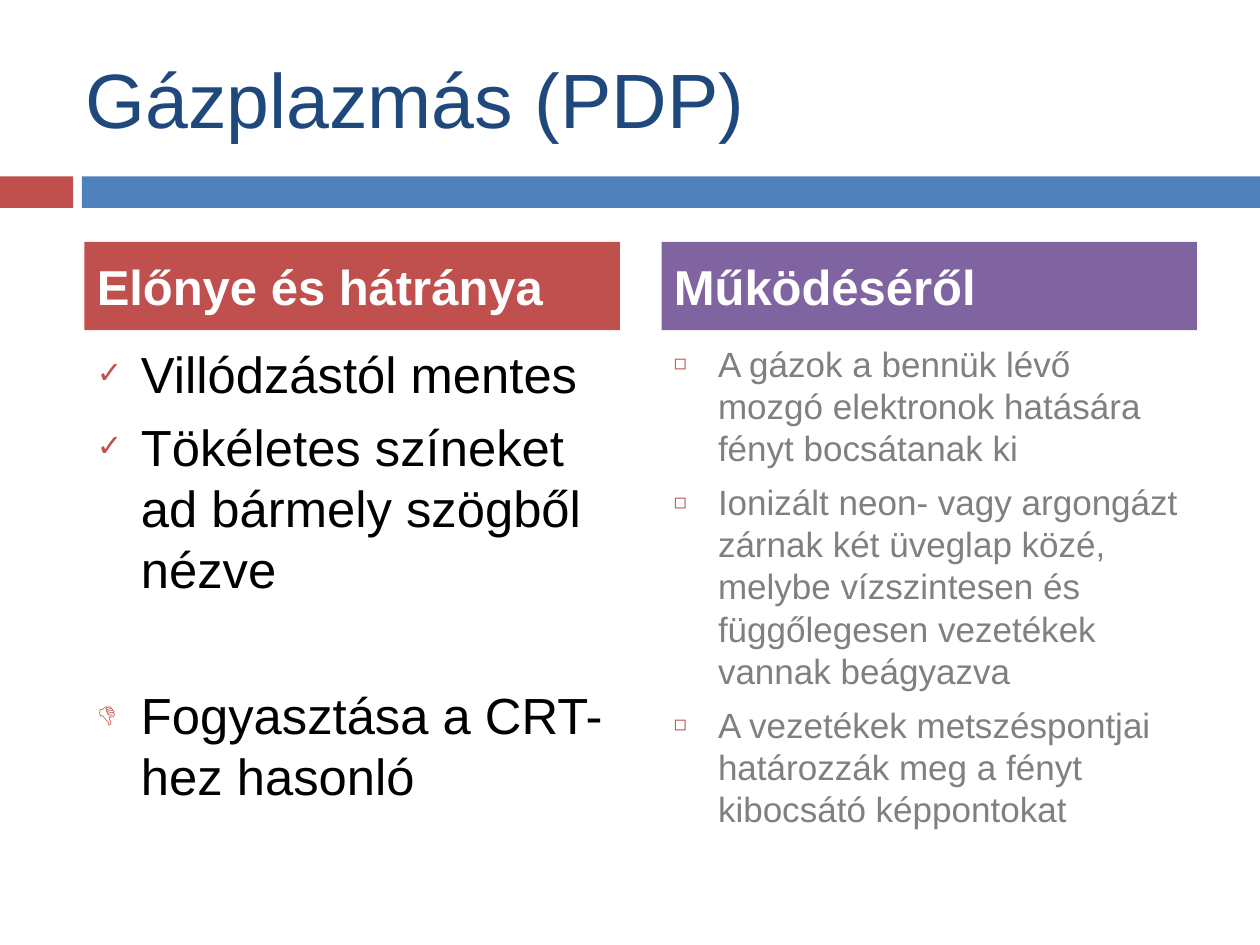
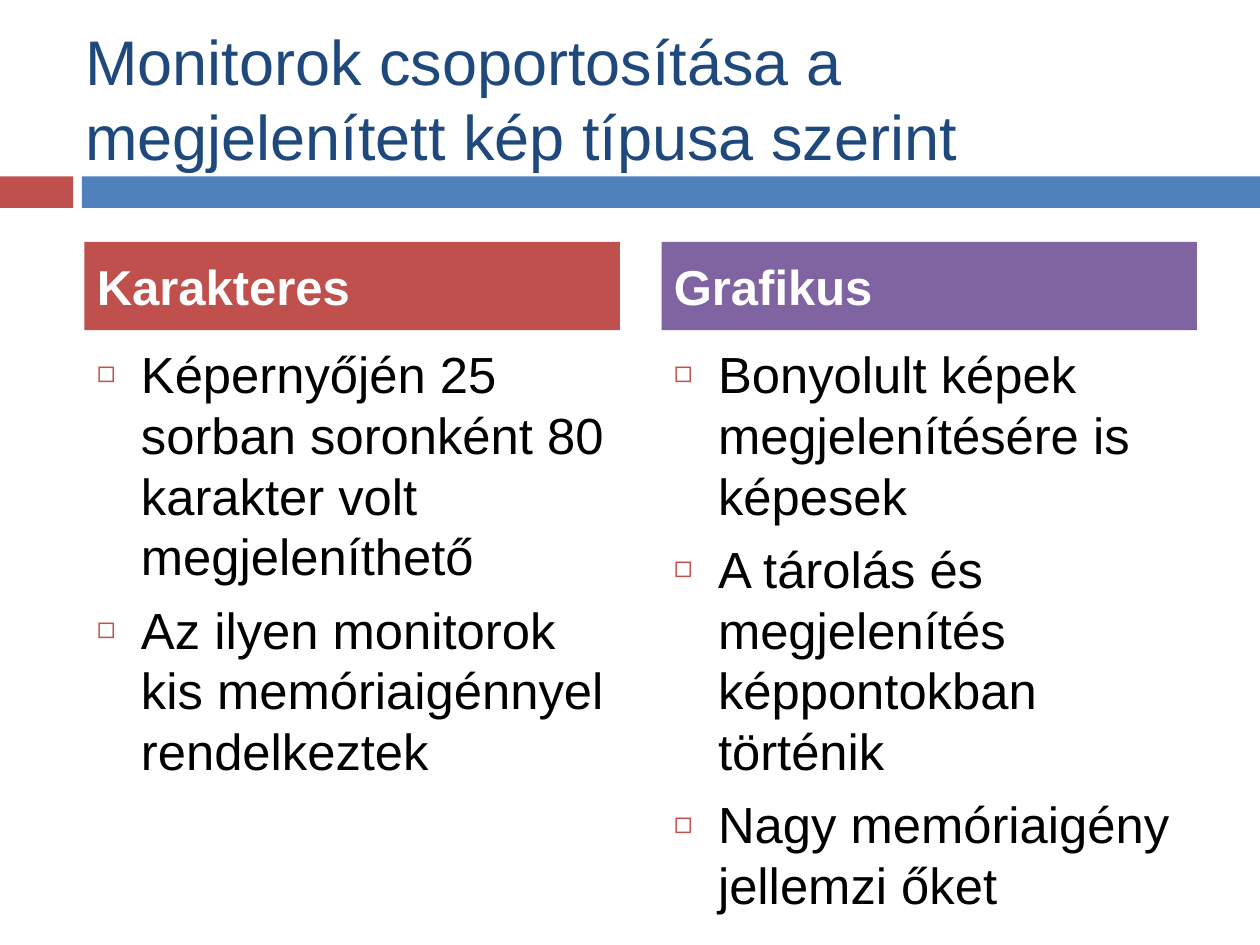
from dataclasses import dataclass

from lxml import etree
from pptx import Presentation
from pptx.dml.color import RGBColor
from pptx.enum.shapes import MSO_SHAPE
from pptx.enum.text import MSO_ANCHOR, PP_ALIGN
from pptx.oxml.ns import qn
from pptx.util import Inches, Pt

RECTANGLE = MSO_SHAPE.RECTANGLE
MIDDLE = MSO_ANCHOR.MIDDLE
LEFT = PP_ALIGN.LEFT
BLANK_LAYOUT = 6


@dataclass(frozen=True)
class Theme:
    font: str = "Arial"
    red: str = "C0504D"
    blue: str = "4F81BD"
    purple: str = "8064A2"
    navy: str = "1F497D"
    black: str = "000000"
    grey: str = "808080"
    white: str = "FFFFFF"
    title_size: int = 44
    long_title_size: int = 36
    heading_size: int = 28
    body_size: int = 29
    small_body_size: int = 20
    paragraph_gap: int = 7
    section_gap: int = 49
    line_ratio: float = 1.2
    bullet_percent: int = 60
    bullet_indent: float = 0.35


@dataclass(frozen=True)
class Box:
    left: float
    top: float
    width: float
    height: float

    def lengths(self):
        return [Inches(value) for value in (self.left, self.top, self.width, self.height)]


@dataclass(frozen=True)
class Item:
    text: str
    bullet: str = "◻"
    starts_section: bool = False


@dataclass(frozen=True)
class Column:
    heading: str
    items: tuple
    size: int
    color: str
    extra_width: float = 0


THEME = Theme()
TITLE_BOX = Box(0.58, 0.3, 8.92, 0.95)
BAND_BOX = Box(0, 1.4, 10, 0.25)
COLUMNS_BOX = Box(0.67, 1.92, 8.83, 4.67)
COLUMN_GAP = 0.33
HEADING_HEIGHT = 0.7
HEADING_GAP = 0.05

SLIDES = (
    ("Gázplazmás (PDP)", THEME.title_size, (
        Column("Előnye és hátránya", (
            Item("Villódzástól mentes", "✓"),
            Item("Tökéletes színeket ad bármely szögből nézve", "✓"),
            Item("Fogyasztása a CRT-hez hasonló", "👎", starts_section=True),
        ), THEME.body_size, THEME.black),
        Column("Működéséről", (
            Item("A gázok a bennük lévő mozgó elektronok hatására fényt bocsátanak ki"),
            Item("Ionizált neon- vagy argongázt zárnak két üveglap közé, melybe "
                 "vízszintesen és függőlegesen vezetékek vannak beágyazva"),
            Item("A vezetékek metszéspontjai határozzák meg a fényt kibocsátó képpontokat"),
        ), THEME.small_body_size, THEME.grey),
    )),
    ("Monitorok csoportosítása a megjelenített kép típusa szerint", THEME.long_title_size, (
        Column("Karakteres", (
            Item("Képernyőjén 25 sorban soronként 80 karakter volt megjeleníthető"),
            Item("Az ilyen monitorok kis memóriaigénnyel rendelkeztek"),
        ), THEME.body_size, THEME.black),
        Column("Grafikus", (
            Item("Bonyolult képek megjelenítésére is képesek"),
            Item("A tárolás és megjelenítés képpontokban történik"),
            Item("Nagy memóriaigény jellemzi őket"),
        ), THEME.body_size, THEME.black, extra_width=0.2),
    )),
)


def add_rectangle(slide, box, color):
    shape = slide.shapes.add_shape(RECTANGLE, *box.lengths())
    shape.shadow.inherit = False
    shape.fill.solid()
    shape.fill.fore_color.rgb = RGBColor.from_string(color)
    shape.line.fill.background()
    return shape


def add_text_frame(slide, box):
    frame = slide.shapes.add_textbox(*box.lengths()).text_frame
    frame.word_wrap = True
    return frame


def write_text(paragraph, text, size, color, bold=False):
    paragraph.line_spacing = Pt(size * THEME.line_ratio)
    run = paragraph.add_run()
    run.text = text
    run.font.name = THEME.font
    run.font.size = Pt(size)
    run.font.bold = bold
    run.font.color.rgb = RGBColor.from_string(color)


def set_bullet(paragraph, character):
    properties = paragraph._p.get_or_add_pPr()
    indent = Inches(THEME.bullet_indent)
    properties.set("marL", str(indent))
    properties.set("indent", str(-indent))
    color = etree.SubElement(properties, qn("a:buClr"))
    etree.SubElement(color, qn("a:srgbClr"), val=THEME.red)
    etree.SubElement(properties, qn("a:buSzPct"), val=str(THEME.bullet_percent * 1000))
    etree.SubElement(properties, qn("a:buFont"), typeface=THEME.font)
    etree.SubElement(properties, qn("a:buChar"), char=character)


def add_title(slide, box, text, size):
    frame = add_text_frame(slide, box)
    frame.vertical_anchor = MIDDLE
    write_text(frame.paragraphs[0], text, size, THEME.navy)


def add_band(slide, box):
    accent_width, gap = 0.58, 0.07
    bar_offset = accent_width + gap
    add_rectangle(slide, Box(box.left, box.top, accent_width, box.height), THEME.red)
    add_rectangle(slide, Box(box.left + bar_offset, box.top, box.width - bar_offset, box.height),
                  THEME.blue)


def add_heading(slide, box, text, color):
    frame = add_rectangle(slide, box, color).text_frame
    frame.word_wrap = True
    frame.vertical_anchor = MIDDLE
    paragraph = frame.paragraphs[0]
    paragraph.alignment = LEFT
    paragraph.space_before = Pt(THEME.paragraph_gap)
    write_text(paragraph, text, THEME.heading_size, THEME.white, bold=True)


def add_items(slide, box, column):
    frame = add_text_frame(slide, box)
    for index, item in enumerate(column.items):
        paragraph = frame.add_paragraph() if index else frame.paragraphs[0]
        gap = THEME.section_gap if item.starts_section else THEME.paragraph_gap
        paragraph.space_before = Pt(gap)
        write_text(paragraph, item.text, column.size, column.color)
        set_bullet(paragraph, item.bullet)


def add_column(slide, box, column, color):
    add_heading(slide, Box(box.left, box.top, box.width, HEADING_HEIGHT), column.heading, color)
    offset = HEADING_HEIGHT + HEADING_GAP
    items_box = Box(box.left, box.top + offset, box.width + column.extra_width,
                    box.height - offset)
    add_items(slide, items_box, column)


def add_comparison(slide, box, columns):
    width = (box.width - COLUMN_GAP) / 2
    for index, (column, color) in enumerate(zip(columns, (THEME.red, THEME.purple))):
        left = box.left + index * (width + COLUMN_GAP)
        add_column(slide, Box(left, box.top, width, box.height), column, color)


def main():
    presentation = Presentation()
    presentation.slide_width = Inches(10)
    presentation.slide_height = Inches(7.5)
    for title, title_size, columns in SLIDES:
        slide = presentation.slides.add_slide(presentation.slide_layouts[BLANK_LAYOUT])
        add_band(slide, BAND_BOX)
        add_title(slide, TITLE_BOX, title, title_size)
        add_comparison(slide, COLUMNS_BOX, columns)
    presentation.save("out.pptx")


if __name__ == "__main__":
    main()
